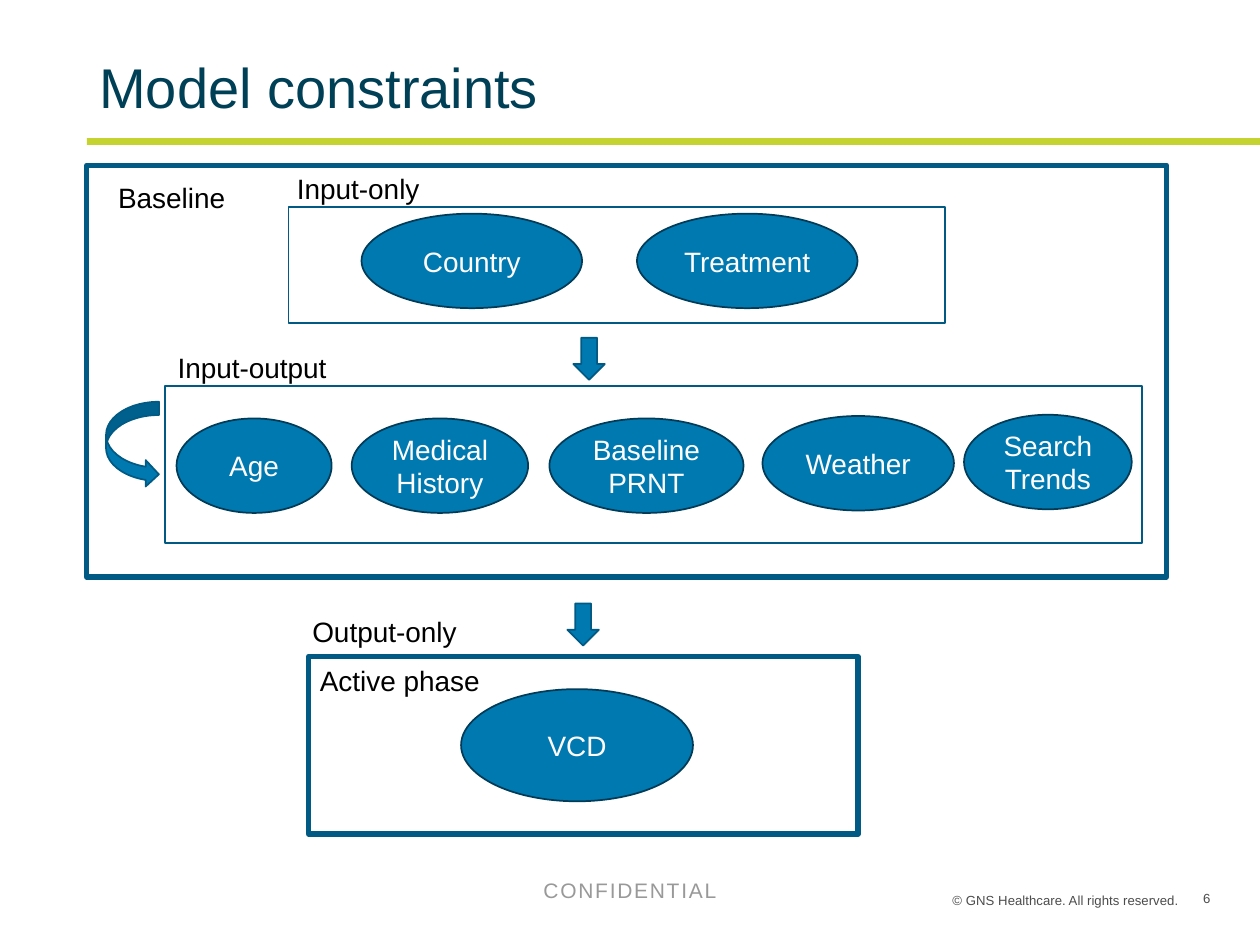
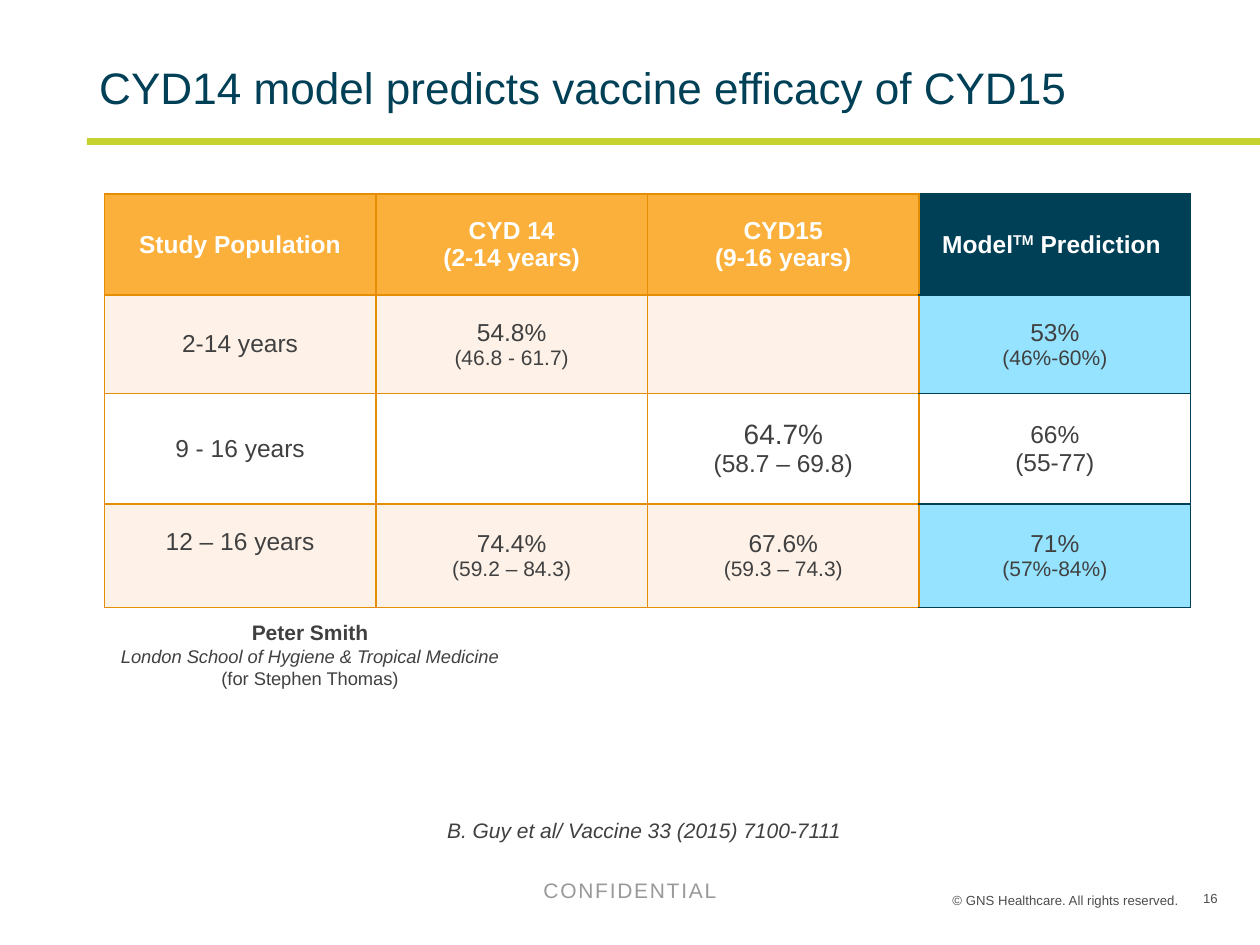
from collections import namedtuple

from pptx import Presentation
from pptx.dml.color import RGBColor
from pptx.enum import shapes, text
from pptx.oxml import parse_xml
from pptx.oxml import ns
from pptx.util import Pt

FONT = "Arial"
NAVY, BLUE, FRAME, OUTLINE = "004057", "0079B1", "005A83", "003C58"
LIME, ORANGE, AMBER, CREAM, SKY = "C5D330", "E48D05", "FBB03B", "FEF2E8", "95E3FF"
BLACK, WHITE, INK, GREY, PALE = "000000", "FFFFFF", "404041", "4C4C4C", "999999"
LEFT, CENTER, RIGHT = text.PP_ALIGN.LEFT, text.PP_ALIGN.CENTER, text.PP_ALIGN.RIGHT
SHAPE = shapes.MSO_SHAPE

Box = namedtuple("Box", "left top width height")


def color(value):
    return RGBColor.from_string(value)


def within(box, left, top, width, height):
    return Box(box.left + left, box.top + top, width, height)


def points(box):
    return [Pt(length) for length in box]


def style(para, size, ink, align=LEFT, bold=False, italic=False):
    para.alignment = align
    font = para.font
    font.name, font.size = FONT, Pt(size)
    font.bold, font.italic = bold, italic
    font.color.rgb = color(ink)


def add_text(page, box, words, size, ink, align=LEFT, bold=False, italic=False):
    frame = page.shapes.add_textbox(*points(box)).text_frame
    frame.word_wrap = True
    para = frame.paragraphs[0]
    para.text = words
    style(para, size, ink, align, bold, italic)
    return frame


def add_shape(page, kind, box, fill=None, line=None, weight=1):
    shape = page.shapes.add_shape(kind, *points(box))
    shape.shadow.inherit = False
    if fill:
        shape.fill.solid()
        shape.fill.fore_color.rgb = color(fill)
    else:
        shape.fill.background()
    if line:
        shape.line.color.rgb = color(line)
        shape.line.width = Pt(weight)
    else:
        shape.line.fill.background()
    return shape


def add_label(page, box, left, top, words):
    add_text(page, within(box, left, top, 150, 26.6), words, 16, BLACK)


def add_variable(page, box, words):
    oval = add_shape(page, SHAPE.OVAL, box, BLUE, OUTLINE)
    frame = oval.text_frame
    frame.word_wrap = True
    frame.vertical_anchor = text.MSO_ANCHOR.MIDDLE
    frame.text = words
    style(frame.paragraphs[0], 16, WHITE, CENTER)


def add_arrow(page, box, kind=SHAPE.DOWN_ARROW):
    add_shape(page, kind, box, BLUE, FRAME)


def add_page(deck, title, title_size, number):
    page = deck.slides.add_slide(deck.slide_layouts[6])
    add_shape(page, SHAPE.RECTANGLE, Box(49.6, 79, 670.4, 3.8), LIME)
    frame = add_text(page, Box(49.6, 20.9, 620.6, 61.9), title, title_size, NAVY)
    frame.vertical_anchor = text.MSO_ANCHOR.MIDDLE
    frame.paragraphs[0].line_spacing = 0.9
    add_text(page, Box(520, 506.2, 160.4, 16.6),
             "© GNS Healthcare. All rights reserved.", 7.5, GREY, RIGHT)
    mark = add_text(page, Box(290, 498.2, 140, 21.6), "CONFIDENTIAL", 12, PALE, CENTER)
    mark.paragraphs[0].runs[0]._r.get_or_add_rPr().set("spc", "100")
    add_text(page, Box(680.4, 505.4, 26, 28.8), number, 7.5, GREY)
    return page


def add_input_only(page, box):
    add_shape(page, SHAPE.RECTANGLE, box, line=FRAME)
    add_label(page, box, -2.2, -23.8, "Input-only")
    for index, words in enumerate(["Country", "Treatment"]):
        add_variable(page, within(box, 41.8 + index * 157.4, 3.6, 126, 54), words)


def add_input_output(page, box):
    add_shape(page, SHAPE.RECTANGLE, box, line=FRAME)
    add_label(page, box, 0, -23.8, "Input-output")
    variables = [
        ("Age", 6.5, 18.7, 88.6),
        ("Medical History", 106.6, 18.7, 100.8),
        ("Baseline PRNT", 219.6, 18.7, 110.9),
        ("Weather", 341.3, 17.3, 109.4),
        ("Search Trends", 456.5, 16.6, 95.8),
    ]
    for words, left, top, width in variables:
        add_variable(page, within(box, left, top, width, 54), words)


def add_baseline(page, box):
    add_shape(page, SHAPE.RECTANGLE, box, line=FRAME, weight=3)
    add_label(page, box, 10.8, 5, "Baseline")
    add_input_only(page, within(box, 115.2, 24.1, 375.1, 66.2))
    add_arrow(page, within(box, 278, 98.6, 18, 24))
    add_input_output(page, within(box, 44.8, 126, 558, 90))
    add_arrow(page, within(box, 11, 135.2, 30.2, 49), SHAPE.CURVED_RIGHT_ARROW)


def add_active_phase(page, box):
    add_shape(page, SHAPE.RECTANGLE, box, line=FRAME, weight=3)
    add_label(page, box, -5, -27.4, "Output-only")
    add_arrow(page, within(box, 147.8, -30.2, 18, 24))
    add_variable(page, within(box, 87.1, 18.7, 132.5, 64.1), "VCD")
    add_label(page, box, -0.7, 0.7, "Active phase")


def set_borders(cell, sides):
    properties = cell._tc.get_or_add_tcPr()
    for index, (side, ink) in enumerate(zip("LRTB", sides)):
        properties.insert(index, parse_xml(
            f'<a:ln{side} {ns.nsdecls("a")} w="12700"><a:solidFill>'
            f'<a:srgbClr val="{ink}"/></a:solidFill></a:ln{side}>'))


def fill_cell(cell, lines, fill, ink, bold, sides):
    cell.fill.solid()
    cell.fill.fore_color.rgb = color(fill)
    set_borders(cell, sides)
    cell.vertical_anchor = text.MSO_ANCHOR.MIDDLE
    frame = cell.text_frame
    for index, (words, size) in enumerate(lines):
        para = frame.add_paragraph() if index else frame.paragraphs[0]
        for part, piece in enumerate(words.split("^")):
            span = para.add_run()
            span.text = piece
            if part == 1:
                span._r.get_or_add_rPr().set("baseline", "30000")
        style(para, size, ink, CENTER, bold)


def add_efficacy_table(page, box):
    rows = [
        [[("Study Population", 14)],
         [("CYD 14", 14), ("(2-14 years)", 14)],
         [("CYD15", 14), ("(9-16 years)", 14)],
         [("Model^TM^ Prediction ", 14)]],
        [[("2-14 years", 14)],
         [("54.8%", 14), ("(46.8 - 61.7)", 12)],
         [],
         [("53%", 14), ("(46%-60%)", 12)]],
        [[("9 - 16 years", 14)],
         [],
         [("64.7%", 16), ("(58.7 – 69.8)", 14)],
         [("66%", 14), ("(55-77)", 14)]],
        [[("12 – 16 years", 14)],
         [("74.4%", 14), ("(59.2 – 84.3)", 12)],
         [("67.6%", 14), ("(59.3 – 74.3)", 12)],
         [("71%", 14), ("(57%-84%)", 12)]],
    ]
    fills = [(AMBER, NAVY), (CREAM, SKY), (WHITE, WHITE), (CREAM, SKY)]
    heights = [57.8, 56.2, 63.2, 59]
    table = page.shapes.add_table(4, 4, *points(box)).table
    for column in table.columns:
        column.width = Pt(box.width / 4)
    for index, cells in enumerate(rows):
        table.rows[index].height = Pt(heights[index])
        for place, lines in enumerate(cells):
            predicted = place == 3
            sides = [ORANGE] + [NAVY if predicted else ORANGE] * 3
            fill_cell(table.cell(index, place), lines, fills[index][predicted],
                      INK if index else WHITE, index == 0, sides)
    table.cell(3, 0).margin_bottom = Pt(19)


def add_presenter(page, box):
    frame = add_text(page, box, "Peter Smith", 12, INK, CENTER, bold=True)
    for words, italic in [("London School of Hygiene & Tropical Medicine", True),
                          ("(for Stephen Thomas)", False)]:
        para = frame.add_paragraph()
        para.text = words
        style(para, 10.5, INK, CENTER, italic=italic)


def build_constraints(deck):
    page = add_page(deck, "Model constraints", 32, "6")
    add_baseline(page, Box(49.6, 94.4, 617, 235.4))
    add_active_phase(page, Box(176.4, 375.1, 313.9, 101.5))


def build_efficacy(deck):
    page = add_page(deck, "CYD14 model predicts vaccine efficacy of CYD15", 25.2, "16")
    add_efficacy_table(page, Box(59.6, 110.9, 620.8, 236.2))
    add_presenter(page, Box(52.2, 350.6, 250, 47.5))
    add_text(page, Box(248.4, 463.7, 260, 21.6),
             "B. Guy et al/ Vaccine 33 (2015) 7100-7111", 12, INK, italic=True)


def main():
    deck = Presentation()
    deck.slide_width, deck.slide_height = Pt(720), Pt(540)
    build_constraints(deck)
    build_efficacy(deck)
    deck.save("out.pptx")


if __name__ == "__main__":
    main()
